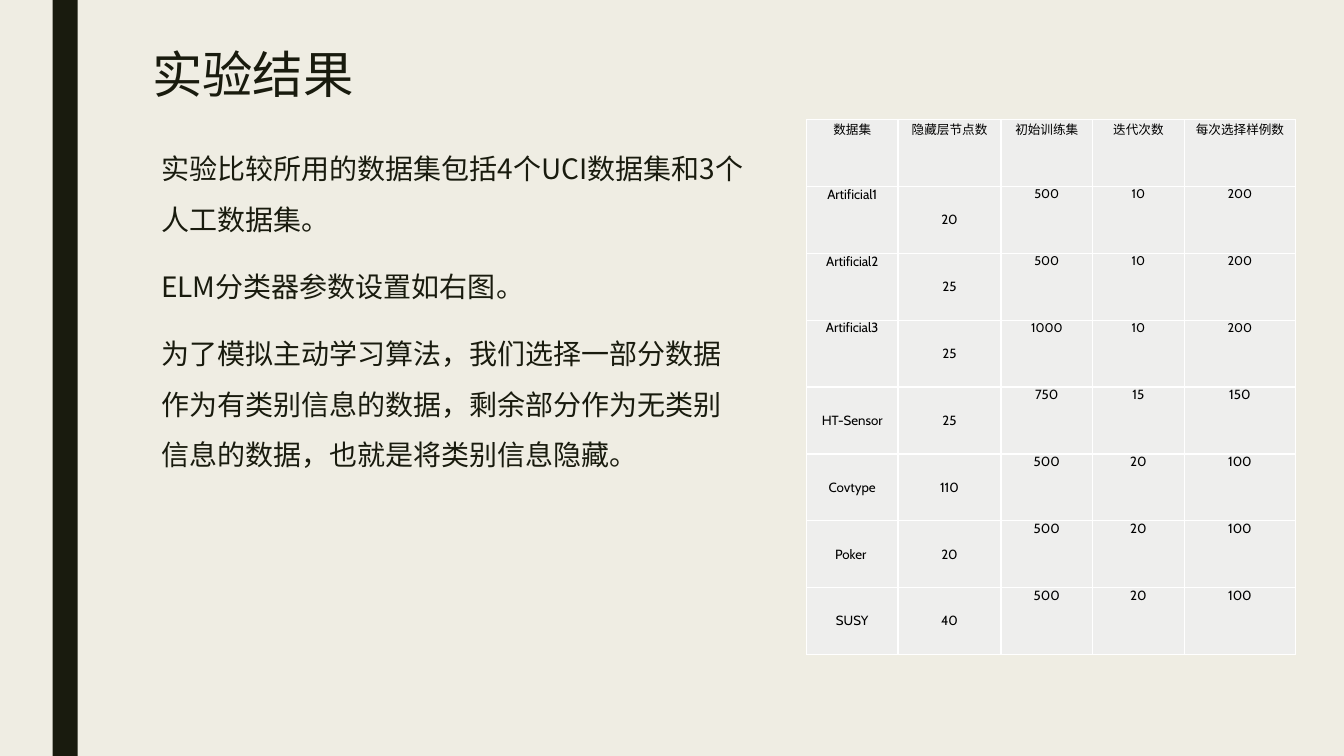
from dataclasses import dataclass

import lxml.etree
import pptx
import pptx.dml.color
import pptx.enum.shapes
import pptx.enum.text
import pptx.oxml
import pptx.oxml.ns
import pptx.util

Pt = pptx.util.Pt
INK = "191B0E"
PAPER = "EFEDE3"
CELL = "EEEEED"
WHITE = "FFFFFF"
BLACK = "000000"
CJK = "Noto Sans CJK SC"
LATIN = "Cabin"


@dataclass
class TextBlock:
    left: float
    top: float
    width: float
    height: float
    size: float
    line_spacing: float
    before: float
    after: float
    paragraphs: list[str]


@dataclass
class Dataset:
    name: str
    nodes: int
    initial: int
    rounds: int
    batch: int
    name_middle: bool = True
    count_size: float = 9.5


HEADERS = ["数据集", "隐藏层节点数", "初始训练集", "迭代次数", "每次选择样例数"]
COLUMN_WIDTHS = [65.5, 73.5, 65.5, 65.5, 79.5]
ROW_HEIGHT = 47.8

DATASETS = [
    Dataset("Artificial1", 20, 500, 10, 200, False, 9),
    Dataset("Artificial2", 25, 500, 10, 200, False, 9),
    Dataset("Artificial3", 25, 1000, 10, 200, False, 9),
    Dataset("HT-Sensor", 25, 750, 15, 150),
    Dataset("Covtype", 110, 500, 20, 100),
    Dataset("Poker ", 20, 500, 20, 100),
    Dataset("SUSY", 40, 500, 20, 100),
]

TEXT_BLOCKS = [
    TextBlock(101.5, 32.4, 732, 53, 36, 0.89, 0, 0, ["实验结果"]),
    TextBlock(108, 93, 432, 369, 20, 1.5, 10, 2, [
        "实验比较所用的数据集包括4个UCI数据集和3个人工数据集。",
        "ELM分类器参数设置如右图。",
        "为了模拟主动学习算法，我们选择一部分数据作为有类别信息的数据，"
        "剩余部分作为无类别信息的数据，也就是将类别信息隐藏。",
    ]),
]


def rgb(color: str) -> pptx.dml.color.RGBColor:
    return pptx.dml.color.RGBColor.from_string(color)


def add_run(p, text: str, size: float, font: str, color: str) -> None:
    r = p.add_run()
    r.text = text
    r.font.size = Pt(size)
    r.font.name = font
    r.font.color.rgb = rgb(color)
    ea = lxml.etree.SubElement(r.font._element, pptx.oxml.ns.qn("a:ea"))
    ea.set("typeface", CJK)


def add_text(s, block: TextBlock) -> None:
    box = s.shapes.add_textbox(
        Pt(block.left), Pt(block.top), Pt(block.width), Pt(block.height))
    tf = box.text_frame
    tf.word_wrap = True
    for i, text in enumerate(block.paragraphs):
        p = tf.paragraphs[0] if i == 0 else tf.add_paragraph()
        p.line_spacing = block.line_spacing
        p.space_before = Pt(block.before)
        p.space_after = Pt(block.after)
        add_run(p, text, block.size, CJK, INK)


def add_borders(cell, color: str, width: float) -> None:
    tc_pr = cell._tc.get_or_add_tcPr()
    for i, side in enumerate(["lnL", "lnR", "lnT", "lnB"]):
        tc_pr.insert(i, pptx.oxml.parse_xml(
            f'<a:{side} {pptx.oxml.ns.nsdecls("a")} w="{Pt(width)}">'
            f'<a:solidFill><a:srgbClr val="{color}"/></a:solidFill></a:{side}>'))


def fill_cell(cell, text: str, size: float, middle: bool = False) -> None:
    anchor = pptx.enum.text.MSO_ANCHOR
    cell.fill.solid()
    cell.fill.fore_color.rgb = rgb(CELL)
    cell.margin_left = cell.margin_right = Pt(5)
    cell.margin_top = cell.margin_bottom = Pt(0)
    cell.vertical_anchor = anchor.MIDDLE if middle else anchor.TOP
    p = cell.text_frame.paragraphs[0]
    p.alignment = pptx.enum.text.PP_ALIGN.CENTER
    add_run(p, text, size, LATIN, BLACK)
    add_borders(cell, WHITE, 1)


def add_parameter_table(s, left: float, top: float) -> None:
    rows = len(DATASETS) + 1
    table = s.shapes.add_table(
        rows, len(HEADERS), Pt(left), Pt(top),
        Pt(sum(COLUMN_WIDTHS)), Pt(rows * ROW_HEIGHT)).table
    table.first_row = table.horz_banding = False
    for column, width in zip(table.columns, COLUMN_WIDTHS):
        column.width = Pt(width)
    for row in table.rows:
        row.height = Pt(ROW_HEIGHT)
    for j, header in enumerate(HEADERS):
        fill_cell(table.cell(0, j), header, 9)
    for i, d in enumerate(DATASETS, 1):
        fill_cell(table.cell(i, 0), d.name, 9.5, d.name_middle)
        fill_cell(table.cell(i, 1), str(d.nodes), 9.5, True)
        for j, count in enumerate([d.initial, d.rounds, d.batch], 2):
            fill_cell(table.cell(i, j), str(count), d.count_size)


prs = pptx.Presentation()
prs.slide_width = Pt(960)
prs.slide_height = Pt(540)
s = prs.slides.add_slide(prs.slide_layouts[6])
s.background.fill.solid()
s.background.fill.fore_color.rgb = rgb(PAPER)

sp = s.shapes.add_shape(
    pptx.enum.shapes.MSO_SHAPE.RECTANGLE, Pt(37.5), Pt(0), Pt(18), Pt(540))
sp.shadow.inherit = False
sp.fill.solid()
sp.fill.fore_color.rgb = rgb(INK)
sp.line.fill.background()

for block in TEXT_BLOCKS:
    add_text(s, block)
add_parameter_table(s, 576, 85.3)

prs.save("out.pptx")
